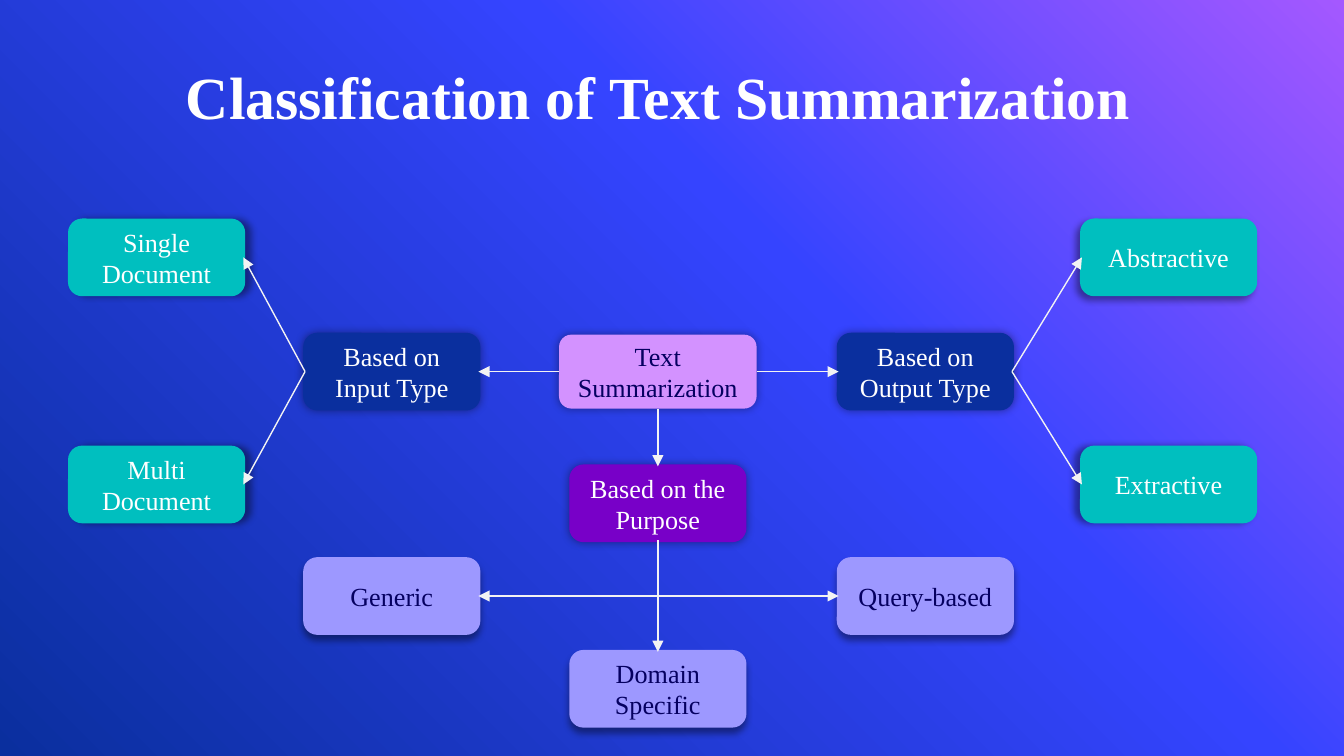
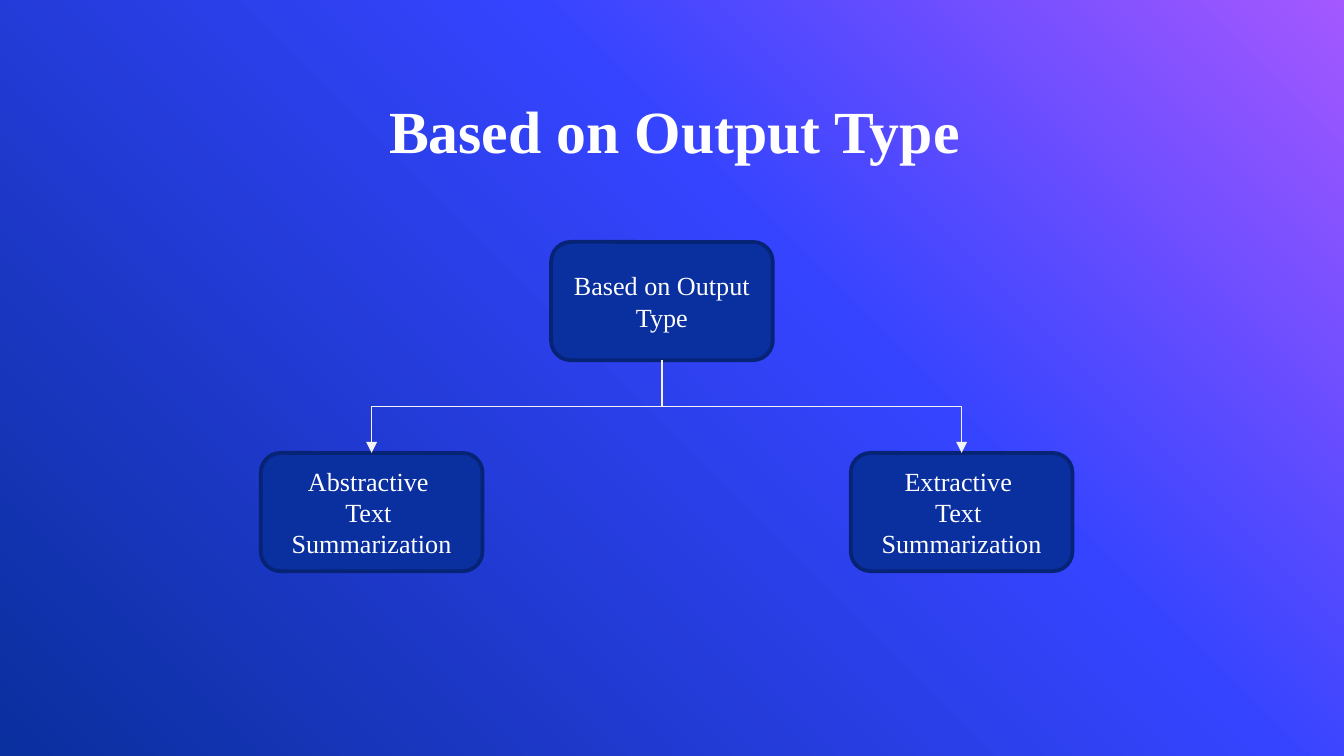
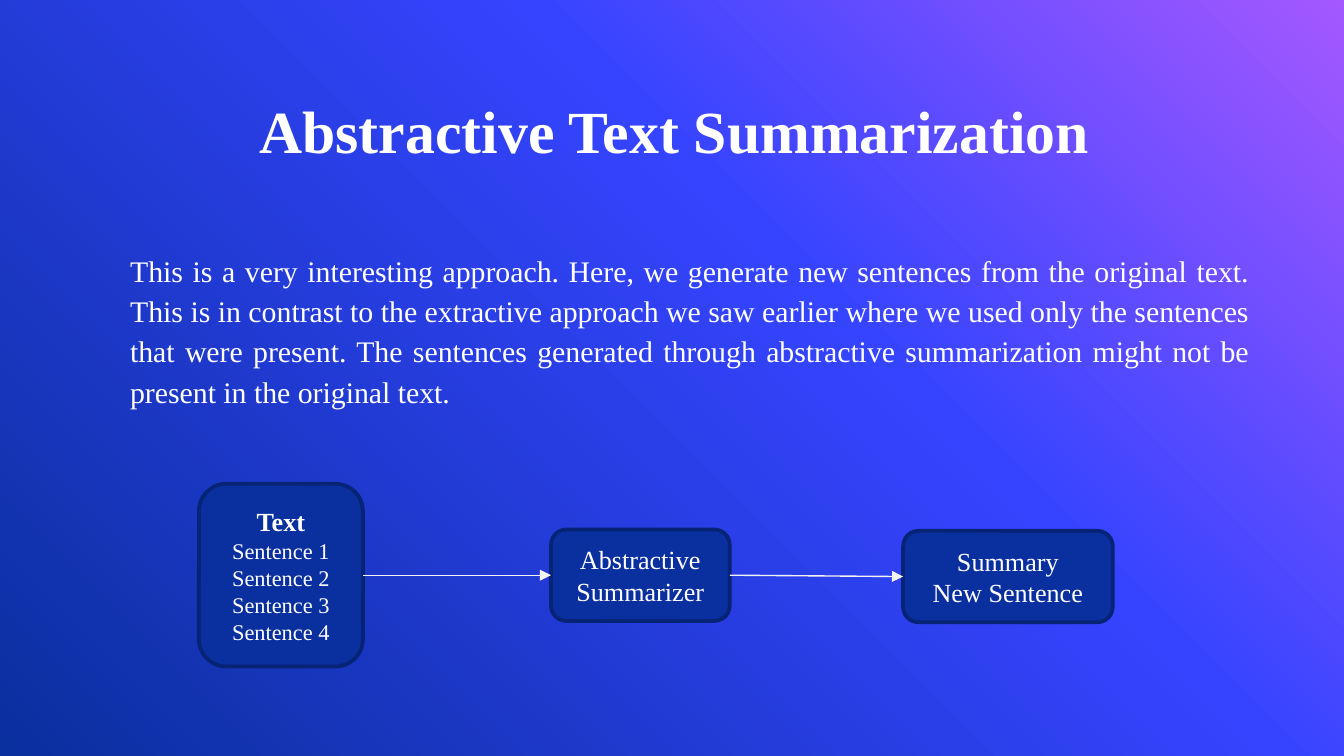
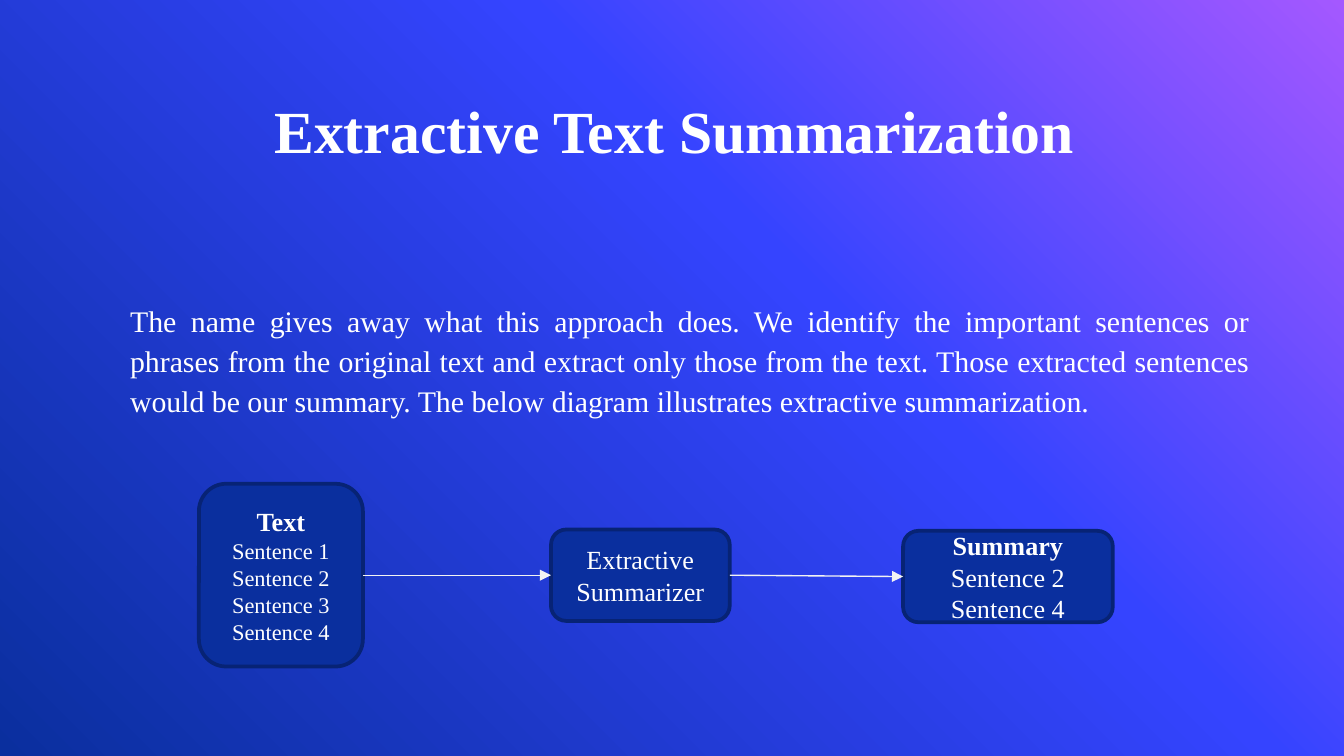
from dataclasses import dataclass

from lxml.etree import SubElement
from pptx import Presentation
from pptx.dml.color import RGBColor
from pptx.enum.shapes import MSO_CONNECTOR as CONN, MSO_SHAPE as SHAPE
from pptx.enum.text import MSO_ANCHOR as ANCHOR, PP_ALIGN as ALIGN
from pptx.oxml.ns import qn
from pptx.util import Inches, Pt


@dataclass(frozen=True)
class Theme:
    """Colours, font and type sizes shared by the slides."""
    font: str = "Times New Roman"
    white: str = "FFFFFF"
    ink: str = "050060"
    navy: str = "0A2F9E"
    navy_edge: str = "072375"
    teal: str = "00BFBF"
    pink: str = "D392FF"
    purple: str = "7800C8"
    lilac: str = "9D98FF"
    arrow: str = "F3F3F3"
    gradient: tuple = ((0, "A458FF"), (39, "3544FF"), (100, "0A2F9E"))
    title: int = 32
    body: int = 16
    label: int = 14
    item: int = 12


T = Theme()
GLOW = (5, 0, 0)
TITLE_BOX = (0.6, 0.29, 8.84, 0.94)
FLOW_BOX = (1.48, 3.6, 6.8, 1.36)


def rgb(value):
    """Return a colour from its hex code."""
    return RGBColor.from_string(value)


def paint_background(master):
    """Give every slide the diagonal gradient."""
    fill = master.background.fill
    fill.gradient()
    fill.gradient_angle = 225
    stops = master.element.find(".//" + qn("a:gsLst"))
    stops.clear()
    for pos, color in T.gradient:
        gs = SubElement(stops, qn("a:gs"), pos=str(pos * 1000))
        SubElement(gs, qn("a:srgbClr"), val=color)


def style_text(p, size, color, align=ALIGN.CENTER, bold=False):
    """Format a paragraph and its runs."""
    p.alignment = align
    for r in p.runs:
        r.font.name = T.font
        r.font.size = Pt(size)
        r.font.bold = bold
        r.font.color.rgb = rgb(color)


def add_text(s, box, text, margin):
    """Add a wrapping text box and return its frame."""
    tf = s.shapes.add_textbox(*map(Inches, box)).text_frame
    tf.word_wrap = True
    tf.margin_left = tf.margin_right = Inches(margin)
    tf.margin_top = tf.margin_bottom = Inches(margin)
    tf.text = text
    return tf


def add_title(s, text, box=TITLE_BOX):
    """Add the centred slide title."""
    tf = add_text(s, box, text, 0)
    tf.vertical_anchor = ANCHOR.BOTTOM
    style_text(tf.paragraphs[0], T.title, T.white, bold=True)


def add_body(s, box, text):
    """Add a justified, indented paragraph."""
    p = add_text(s, box, text, 0.1).paragraphs[0]
    p.line_spacing = 1.12
    pPr = p._p.get_or_add_pPr()
    pPr.set("marL", str(Inches(0.5)))
    pPr.set("marR", str(Inches(0.04)))
    style_text(p, T.body, T.white, ALIGN.JUSTIFY)


def add_shadow(sp, blur, dist, angle):
    """Add a soft black shadow to a shape."""
    effects = sp.element.spPr.find(qn("a:effectLst"))
    outer = SubElement(effects, qn("a:outerShdw"), blurRad=str(Pt(blur)),
                       dist=str(Pt(dist)), dir=str(angle * 60000),
                       algn="bl", rotWithShape="0")
    color = SubElement(outer, qn("a:srgbClr"), val="000000")
    SubElement(color, qn("a:alpha"), val="40000")


def add_node(s, box, text, fill=T.navy, edge=T.navy_edge, color=T.white,
             shadow=None, bold_head=False, item_size=T.label):
    """Add a rounded box whose first line may be a heading."""
    sp = s.shapes.add_shape(SHAPE.ROUNDED_RECTANGLE, *map(Inches, box))
    sp.shadow.inherit = False
    sp.fill.solid()
    sp.fill.fore_color.rgb = rgb(fill)
    if edge:
        sp.line.color.rgb = rgb(edge)
        sp.line.width = Pt(2)
    else:
        sp.line.fill.background()
    if shadow:
        add_shadow(sp, *shadow)
    tf = sp.text_frame
    tf.word_wrap = True
    tf.vertical_anchor = ANCHOR.MIDDLE
    tf.text = text
    head, *items = tf.paragraphs
    style_text(head, T.label, color, bold=bold_head)
    for p in items:
        style_text(p, item_size, color)
    return sp


def edge_point(sp, side):
    """Return the middle of one side: l, r, t or b."""
    fx, fy = {"l": (0, 0.5), "r": (1, 0.5), "t": (0.5, 0), "b": (0.5, 1)}[side]
    return sp.left + int(sp.width * fx), sp.top + int(sp.height * fy)


def style_arrow(c):
    """Give a connector its thin line and arrowhead."""
    c.line.color.rgb = rgb(T.arrow)
    c.line.width = Pt(0.75)
    spPr = c.element.spPr
    SubElement(spPr.find(qn("a:ln")), qn("a:tailEnd"), type="triangle")
    SubElement(spPr, qn("a:effectLst"))


def add_arrow(s, start, start_side, end, end_side):
    """Draw a straight arrow between two boxes."""
    points = edge_point(start, start_side) + edge_point(end, end_side)
    style_arrow(s.shapes.add_connector(CONN.STRAIGHT, *points))


def add_elbow(s, start, end, end_side, preset="bentConnector3"):
    """Draw a bent arrow leaving the bottom of a box."""
    (x1, y1), (x2, y2) = edge_point(start, "b"), edge_point(end, end_side)
    drop, reach = y2 - y1, abs(x2 - x1)
    left = (x1 + x2 - drop) // 2
    top = (y1 + y2 - reach) // 2
    ends, turn = (left, left + drop), 90
    if x2 > x1:
        ends, turn = ends[::-1], 270
    c = s.shapes.add_connector(CONN.ELBOW, ends[0], top, ends[1], top + reach)
    spPr = c.element.spPr
    spPr.find(qn("a:xfrm")).set("rot", str(turn * 60000))
    spPr.find(qn("a:prstGeom")).set("prst", preset)
    style_arrow(c)


def classification_map(s, box):
    """Place the map of summarization classes inside a box."""
    x, y = box[:2]
    cols = (0, 1.75, 3.73, 5.72, 7.53)
    rows = (0, 0.85, 1.69, 1.83, 2.52, 3.21)
    nodes = (
        ("Abstractive", 4, 0, T.teal, (4, 3, 135)),
        ("Extractive", 4, 2, T.teal, (4, 3, 180)),
        ("Based on Output Type", 3, 1, T.navy, GLOW),
        ("Based on Input Type", 1, 1, T.navy, GLOW),
        ("Single Document", 0, 0, T.teal, (4, 3, 0)),
        ("Multi Document", 0, 2, T.teal, (4, 3, 0)),
        ("Based on the Purpose", 2, 3, T.purple, GLOW),
        ("Generic", 1, 4, T.lilac, (4, 3, 90)),
        ("Domain Specific", 2, 5, T.lilac, (4, 3, 90)),
        ("Query-based", 3, 4, T.lilac, (4, 3, 90)),
    )
    root = add_node(s, (x + 3.64, y + rows[1], 1.47, 0.55),
                    "Text Summarization", T.pink, None, T.ink, GLOW)
    (abstractive, extractive, output, source, single, multi,
     purpose, generic, domain, query) = [
        add_node(s, (x + cols[col], y + rows[row], 1.29, 0.55), text, fill,
                 fill, T.ink if fill == T.lilac else T.white, shadow)
        for text, col, row, fill, shadow in nodes]
    for start, out, end, into in (
            (root, "l", source, "r"), (root, "r", output, "l"),
            (output, "r", abstractive, "l"), (output, "r", extractive, "l"),
            (source, "l", single, "r"), (source, "l", multi, "r"),
            (root, "b", purpose, "t"), (purpose, "b", domain, "t")):
        add_arrow(s, start, out, end, into)
    for end, into in ((generic, "r"), (query, "l")):
        add_elbow(s, purpose, end, into, "bentConnector2")


def output_tree(s, box):
    """Place a parent and its two children inside a box."""
    x, y, w, h = box
    node_w, node_h = 1.65, 0.88
    low = y + h - node_h
    parent = add_node(s, (x + 2.16, y, node_w, node_h), "Based on Output Type")
    children = [
        add_node(s, (left, low, node_w, node_h),
                 f"{kind} \vText \nSummarization")
        for left, kind in ((x, "Abstractive"), (x + w - node_w, "Extractive"))]
    for child in children:
        add_elbow(s, parent, child, "t")


def summary_flow(s, box, kind, summary, bold_summary):
    """Place the text, summarizer and summary steps inside a box."""
    x, y, w, h = box
    sentences = [f"Sentence {n}" for n in range(1, 5)]
    text = add_node(s, (x, y, 1.22, h), "\n".join(["Text", *sentences]),
                    bold_head=True, item_size=T.item)
    tool = add_node(s, (x + 2.62, y + 0.34, 1.33, 0.68), f"{kind} Summarizer")
    result = add_node(s, (x + w - 1.56, y + 0.35, 1.56, 0.68), summary,
                      bold_head=bold_summary)
    add_arrow(s, text, "r", tool, "l")
    add_arrow(s, tool, "r", result, "l")


def method_slide(s, kind, body, body_box, summary, bold_summary=False):
    """Build a slide that explains one summarization method."""
    add_title(s, f"{kind} Text Summarization")
    add_body(s, body_box, body)
    summary_flow(s, FLOW_BOX, kind, summary, bold_summary)


def main():
    """Build and save the four slides."""
    prs = Presentation()
    prs.slide_width = Inches(10)
    prs.slide_height = prs.slide_width * 9 // 16
    paint_background(prs.slide_master)
    blank = prs.slide_layouts[6]

    s = prs.slides.add_slide(blank)
    add_title(s, "Classification of Text Summarization",
              (0.48, 0.26, 8.84, 0.72))
    classification_map(s, (0.52, 1.64, 8.82, 3.76))

    s = prs.slides.add_slide(blank)
    add_title(s, "Based on Output Type")
    output_tree(s, (1.94, 1.8, 6.04, 2.45))

    method_slide(
        prs.slides.add_slide(blank), "Abstractive",
        "This is a very interesting approach. Here, we generate new sentences "
        "from the original text. This is in contrast to the extractive "
        "approach we saw earlier where we used only the sentences that were "
        "present. The sentences generated through abstractive summarization "
        "might not be present in the original text.",
        (0.37, 1.75, 9.07, 1.64), "Summary\nNew Sentence")

    method_slide(
        prs.slides.add_slide(blank), "Extractive",
        "The name gives away what this approach does. We identify the "
        "important sentences or phrases from the original text and extract "
        "only those from the text. Those extracted sentences would be our "
        "summary. The below diagram illustrates extractive summarization.",
        (0.37, 2.12, 9.07, 1.5), "Summary\nSentence 2\nSentence 4", True)

    prs.save("out.pptx")


if __name__ == "__main__":
    main()
